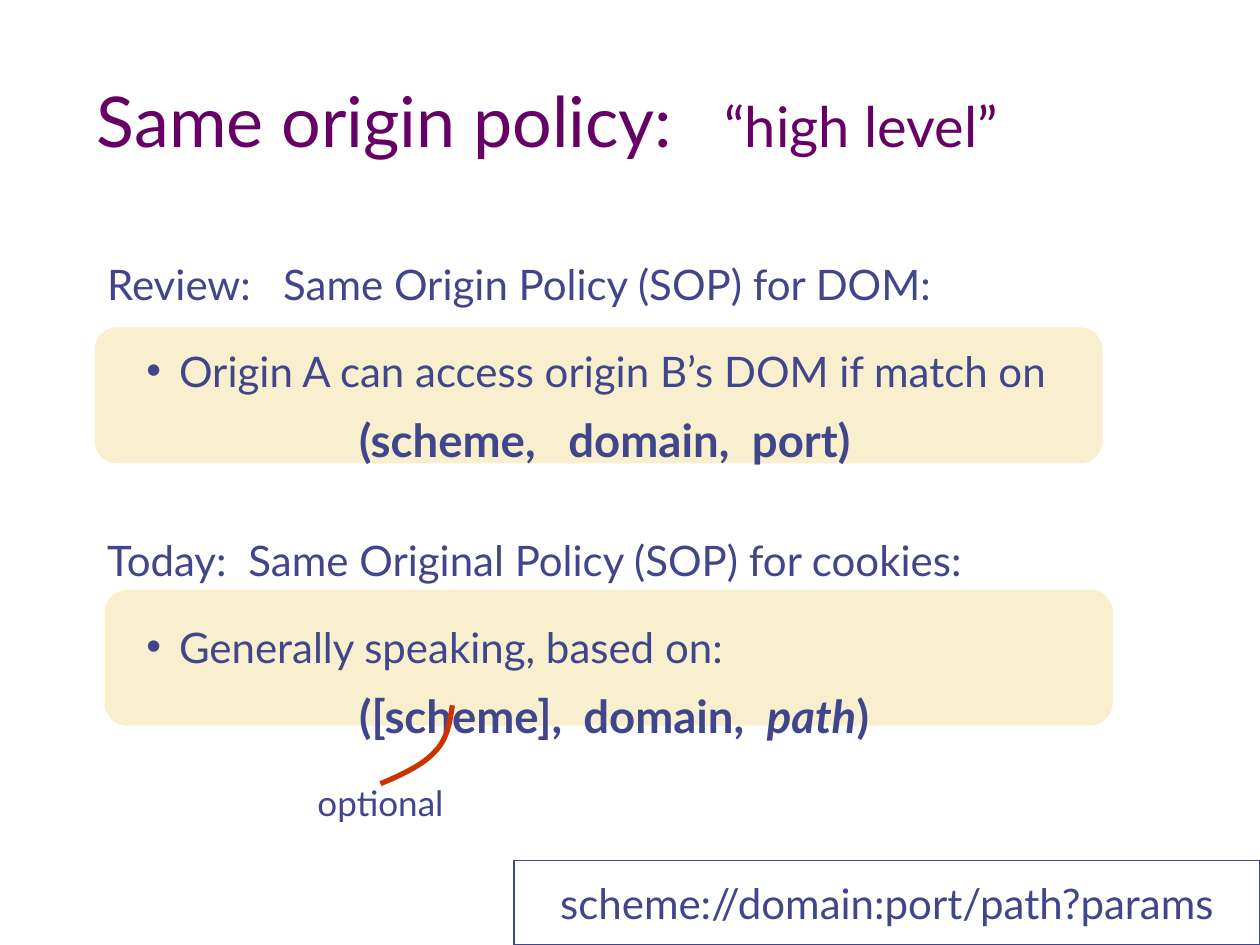
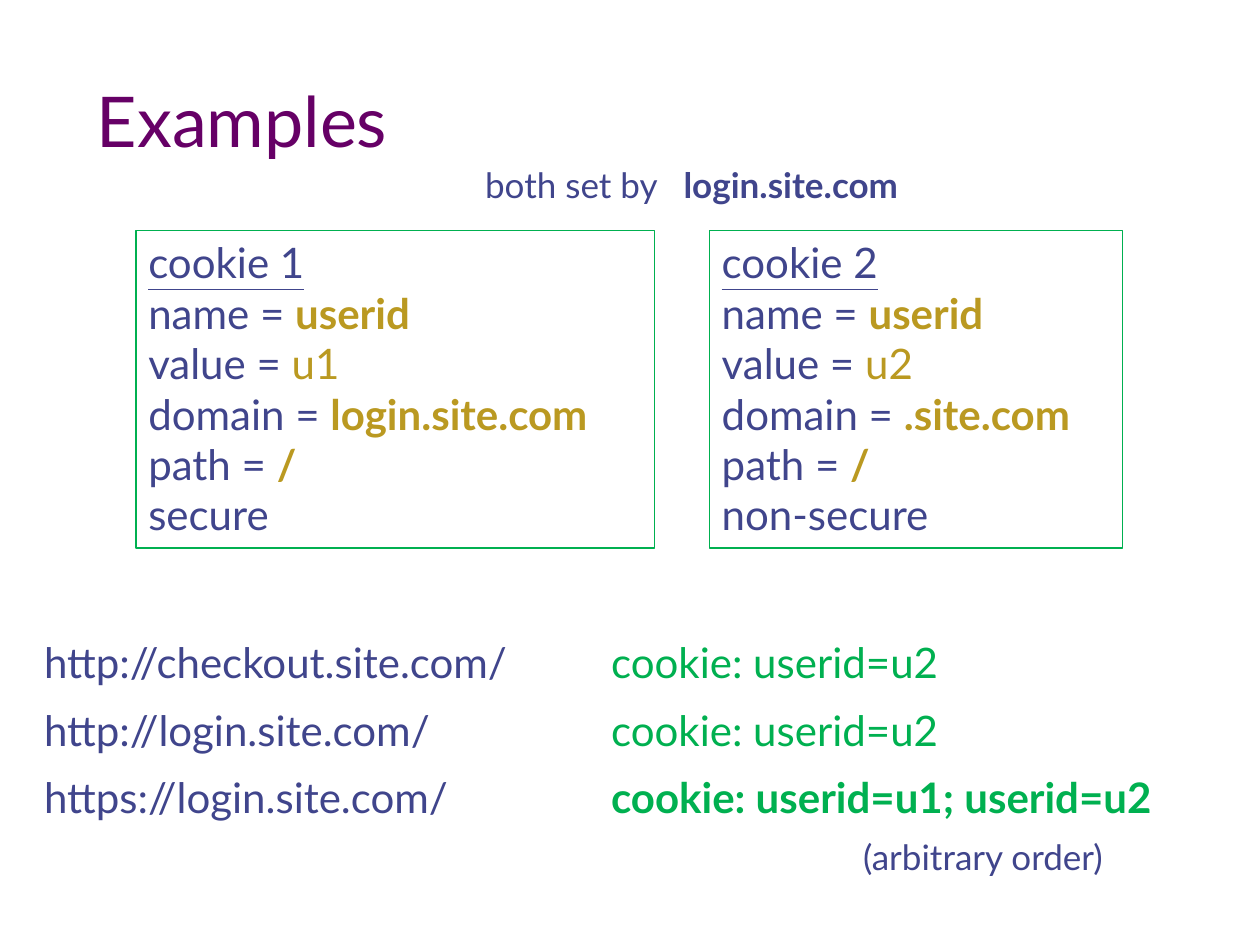
from lxml.etree import SubElement
from pptx import Presentation
from pptx.dml.color import RGBColor
from pptx.enum.shapes import MSO_SHAPE
from pptx.enum.text import MSO_ANCHOR, MSO_AUTO_SIZE, PP_ALIGN
from pptx.oxml.ns import qn
from pptx.util import Cm, Pt

FONT = "Lato"
INK, PLUM, SAND = "40458C", "660066", "ECD882"
GREEN, GOLD, RED = "00B050", "BA9921", "CC3300"
colour_of = RGBColor.from_string


def add_box(slide, left, top, width, height, outline=None, weight=0.75):
    """Add a wrapping text box, outlined if a colour is given."""
    box = slide.shapes.add_textbox(Cm(left), Cm(top), Cm(width), Cm(height))
    box.text_frame.word_wrap = True
    if outline:
        box.line.color.rgb = colour_of(outline)
        box.line.width = Pt(weight)
    return box


def write(frame, *texts, size=24, colour=INK, bold=False, before=0,
          spacing=1.0, tabs=(), bullet=False):
    """Write one paragraph, a run per text, and return its runs."""
    paragraph = frame.add_paragraph() if frame.text else frame.paragraphs[0]
    paragraph.alignment = PP_ALIGN.LEFT
    paragraph.space_before = Pt(before)
    paragraph.line_spacing = spacing
    properties = paragraph._p.get_or_add_pPr()
    if bullet:
        properties.set("marL", str(Cm(1.45)))
        properties.set("indent", str(Cm(-0.66)))
        SubElement(properties, qn("a:buFont"), typeface="Arial")
        SubElement(properties, qn("a:buChar"), char="•")
    if tabs:
        stops = SubElement(properties, qn("a:tabLst"))
        for stop in tabs:
            SubElement(stops, qn("a:tab"), pos=str(Cm(stop)), algn="l")
    font = paragraph.font
    font.name, font.size, font.bold = FONT, Pt(size), bold
    font.color.rgb = colour_of(colour)
    runs = []
    for text in texts:
        run = paragraph.add_run()
        run.text = text
        runs.append(run)
    return runs


deck = Presentation()
deck.slide_width, deck.slide_height = Cm(25.4), Cm(19.05)
slides = []
for heading in (["Same origin policy:", "\t“high level”"], ["Examples"]):
    slide = deck.slides.add_slide(deck.slide_layouts[5])
    title = slide.shapes.title
    title.left, title.top, title.width, title.height = Cm(1.7), Cm(0.84), Cm(21.59), Cm(2.54)
    title.text_frame.vertical_anchor = MSO_ANCHOR.BOTTOM
    title.text_frame.auto_size = MSO_AUTO_SIZE.NONE
    heading_runs = write(title.text_frame, *heading, size=40, colour=PLUM, tabs=[12.65])
    for subtitle in heading_runs[1:]:
        subtitle.font.size = Pt(32)
    slides.append(slide)
policy, examples = slides

# Same origin policy
for left, top in ((2.11, 11.89), (1.91, 6.6)):
    panel = policy.shapes.add_shape(MSO_SHAPE.ROUNDED_RECTANGLE,
                                    Cm(left), Cm(top), Cm(20.32), Cm(2.74))
    panel.shadow.inherit = False
    panel.line.fill.background()
    panel.fill.solid()
    panel.fill.fore_color.rgb = colour_of(SAND)
    tint = panel._element.spPr.find(qn("a:solidFill"))[0]
    SubElement(tint, qn("a:alpha"), val="40000")

rules = add_box(policy, 1.91, 5.08, 22.23, 12.9).text_frame
bullet_style = dict(before=12, spacing=1.31, bullet=True)
tuple_style = dict(size=26, bold=True, spacing=1.31)
write(rules, "Review:\tSame Origin Policy (SOP) for DOM:", tabs=[3.55])
write(rules, "Origin A can access origin B’s DOM if match on", **bullet_style)
write(rules, "\t(scheme,\tdomain,\tport)", tabs=[5.08, 9.3, 13], **tuple_style)
write(rules, "Today:\tSame Original Policy (SOP) for cookies:", before=38.4, tabs=[2.85])
write(rules, "Generally speaking, based on:", **bullet_style)
cookie_tuple = write(rules, "\t([scheme],\tdomain,\t", "path", ")",
                     tabs=[5.08, 9.6, 13.3], **tuple_style)
cookie_tuple[1].font.italic = True

write(add_box(policy, 6.15, 15.62, 3.68, 1.12).text_frame, "optional", size=20)

# Two Bézier segments lead from "optional" up to [scheme]
segments = [
    [(7.67, 15.8), (8.1, 15.62), (8.53, 15.42), (8.76, 15.16)],
    [(8.76, 15.16), (9.02, 14.91), (9.07, 14.55), (9.12, 14.22)],
]
STEPS = 12
curve = []
for segment in segments:
    for step in range(1, STEPS + 1):
        t = step / STEPS
        weights = ((1 - t) ** 3, 3 * t * (1 - t) ** 2, 3 * t ** 2 * (1 - t), t ** 3)
        curve.append(tuple(Cm(sum(w * point[axis] for w, point in zip(weights, segment)))
                           for axis in (0, 1)))
start_x, start_y = segments[0][0]
outline = policy.shapes.build_freeform(Cm(start_x), Cm(start_y))
outline.add_line_segments(curve, close=False)
pointer = outline.convert_to_shape()
pointer.shadow.inherit = False
pointer.fill.background()
pointer.line.color.rgb = colour_of(RED)
pointer.line.width = Pt(3)

url_pattern = add_box(policy, 10.36, 17.35, 15.04, 1.7, INK, 1).text_frame
url_pattern.vertical_anchor = MSO_ANCHOR.MIDDLE
write(url_pattern, "scheme://domain:port/path?params")
url_pattern.paragraphs[0].alignment = PP_ALIGN.CENTER

# Examples
requests = [
    ("http://checkout.site.com/", "cookie: userid=u2", False),
    ("http://login.site.com/", "cookie: userid=u2", False),
    ("https://login.site.com/", "cookie: userid=u1; userid=u2", True),
]
urls = add_box(examples, 0.64, 12.7, 10.59, 4.65).text_frame
sent_cookies = add_box(examples, 12.07, 12.7, 13.33, 4.04).text_frame
for row, (url, sent, bold) in enumerate(requests):
    gap = 10 if row else 0
    write(urls, url, before=gap)
    write(sent_cookies, sent, colour=GREEN, bold=bold, before=gap)

cookies = [
    (2.74, 10.46, "cookie 1", "u1", "login.site.com", "secure"),
    (14.3, 8.33, "cookie 2", "u2", ".site.com", "non-secure"),
]
for left, width, label, value, domain, security in cookies:
    cookie = add_box(examples, left, 4.65, width, 6.4, GREEN).text_frame
    write(cookie, label)[0].font.underline = True
    fields = [("name", "userid"), ("value", value), ("domain", domain), ("path", "/")]
    for field, setting in fields:
        shown = write(cookie, f"{field} = ", setting)[1]
        shown.font.color.rgb = colour_of(GOLD)
        shown.font.bold = field != "value"
    write(cookie, security)

setter = add_box(examples, 9.53, 3.18, 9.73, 1.12).text_frame
write(setter, "both set by", "\tlogin.site.com", size=20, tabs=[4])[1].font.bold = True
write(add_box(examples, 17.15, 16.71, 5.61, 1.12).text_frame, "(arbitrary order)", size=20)

deck.save("out.pptx")
